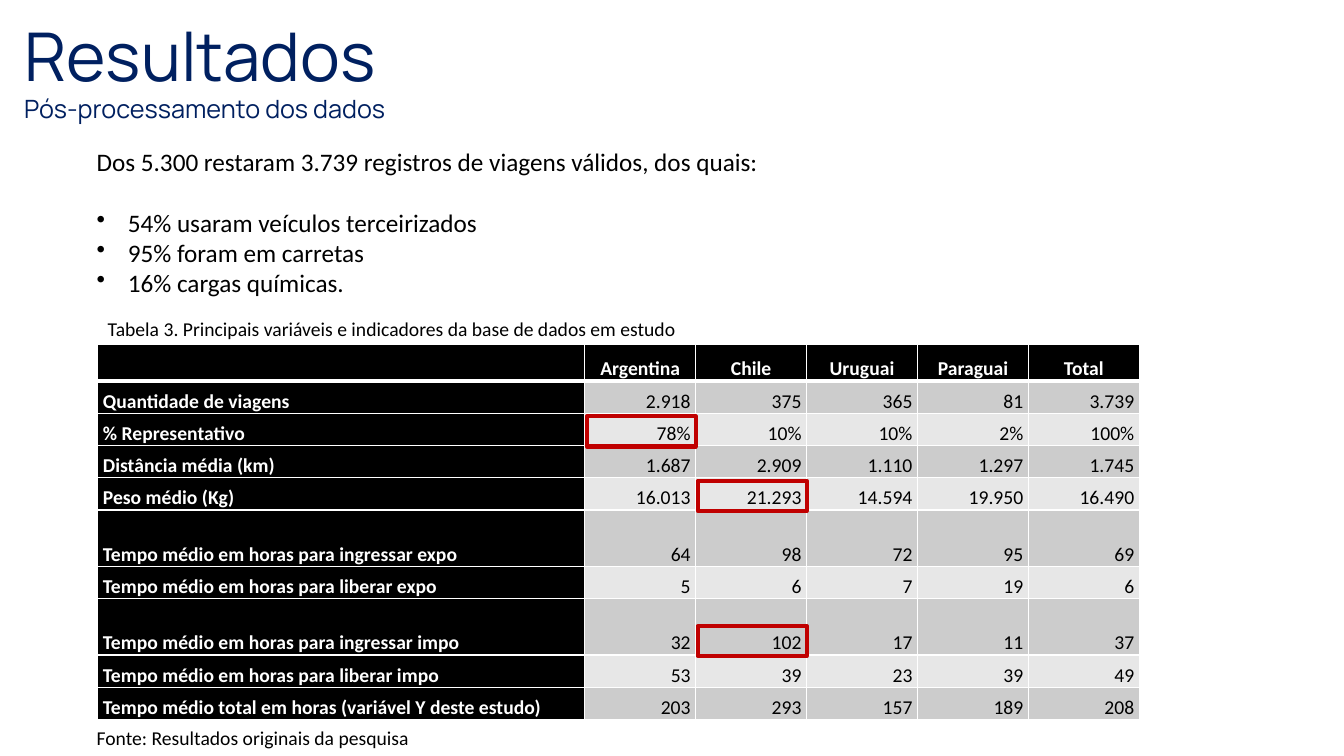
import itertools
import pptx
import pptx.util
import pptx.dml.color
import pptx.enum.shapes
import pptx.enum.text
import pptx.oxml
import pptx.oxml.ns

Inches, Pt = pptx.util.Inches, pptx.util.Pt
RGBColor = pptx.dml.color.RGBColor
PP_ALIGN = pptx.enum.text.PP_ALIGN
MSO_ANCHOR = pptx.enum.text.MSO_ANCHOR

NAVY = RGBColor(0x00, 0x20, 0x60)
BLACK = RGBColor(0x00, 0x00, 0x00)
WHITE = RGBColor(0xFF, 0xFF, 0xFF)
BAND_DARK = RGBColor(0xCC, 0xCC, 0xCC)
BAND_LIGHT = RGBColor(0xE7, 0xE7, 0xE7)
RED = RGBColor(0xC0, 0x00, 0x00)

SLIDE_W, SLIDE_H = Inches(13.33), Inches(7.5)
COL_WEIGHTS = [4.39] + [1] * 5
ROW_WEIGHTS = [9, 8, 8, 8, 8, 14, 8, 14, 8, 8]
HIGHLIGHTS = [(2, 1), (4, 2), (7, 2)]

COUNTRIES = ["", "Argentina", "Chile", "Uruguai", "Paraguai", "Total"]
INDICATORS = [
    ["Quantidade de viagens", "2.918", "375", "365", "81", "3.739"],
    ["% Representativo", "78%", "10%", "10%", "2%", "100%"],
    ["Distância média (km)", "1.687", "2.909", "1.110", "1.297", "1.745"],
    ["Peso médio (Kg)", "16.013", "21.293", "14.594", "19.950", "16.490"],
    ["Tempo médio em horas para ingressar expo", "64", "98", "72", "95", "69"],
    ["Tempo médio em horas para liberar expo", "5", "6", "7", "19", "6"],
    ["Tempo médio em horas para ingressar impo", "32", "102", "17", "11", "37"],
    ["Tempo médio em horas para liberar impo", "53", "39", "23", "39", "49"],
    ["Tempo médio total em horas (variável Y deste estudo)", "203", "293", "157", "189", "208"],
]


def percent_box(left, top, width, height):
    return (int(SLIDE_W * left / 100), int(SLIDE_H * top / 100),
            int(SLIDE_W * width / 100), int(SLIDE_H * height / 100))


def write(p, text, size=14, font="Calibri", color=BLACK, bold=False,
          align=PP_ALIGN.LEFT, spacing=None, before=None, bullet=False):
    if bullet:
        pPr = p._p.get_or_add_pPr()
        pPr.set("marL", str(Inches(0.31)))
        pPr.set("indent", str(-Inches(0.31)))
        pPr.append(pptx.oxml.parse_xml(
            f'<a:buChar {pptx.oxml.ns.nsdecls("a")} char="•"/>'))
    p.alignment = align
    p.line_spacing = spacing
    p.space_before = before
    if text:
        r = p.add_run()
        r.text = text
        r.font.size, r.font.name, r.font.bold = Pt(size), font, bold
        r.font.color.rgb = color


def add_title(s, box):
    title = s.shapes.title
    title.left, title.top, title.width, title.height = box
    tf = title.text_frame
    tf.auto_size = pptx.enum.text.MSO_AUTO_SIZE.NONE
    tf.vertical_anchor = MSO_ANCHOR.MIDDLE
    write(tf.paragraphs[0], "Resultados", size=48, font="Manrope", color=NAVY,
          spacing=0.9, before=Pt(0))


def add_line(s, box, text, **style):
    tf = s.shapes.add_textbox(*box).text_frame
    tf.word_wrap = True
    write(tf.paragraphs[0], text, **style)
    return tf


def add_findings(s, box):
    tf = add_line(s, box, "Dos 5.300 restaram 3.739 registros de viagens válidos, dos quais:", size=18)
    findings = ["54% usaram veículos terceirizados", "95% foram em carretas", "16% cargas químicas."]
    for i, finding in enumerate(findings):
        write(tf.add_paragraph(), finding, size=18, bullet=True,
              before=Pt(0 if i else 22))


def set_borders(cell, **widths):
    tcPr = cell._tc.get_or_add_tcPr()
    for side in "LRTB":
        tcPr.append(pptx.oxml.parse_xml(
            f'<a:ln{side} {pptx.oxml.ns.nsdecls("a")} w="{Pt(widths.get(side, 1))}">'
            f'<a:solidFill><a:srgbClr val="{WHITE}"/></a:solidFill></a:ln{side}>'))


def format_cell(cell, text, row, col):
    heading = row == 0 or col == 0
    set_borders(cell, **{0: {"B": 3}, 1: {"T": 3}}.get(row, {}))
    cell.fill.solid()
    cell.fill.fore_color.rgb = BLACK if heading else BAND_DARK if row % 2 else BAND_LIGHT
    cell.margin_left = cell.margin_right = Inches(0.05)
    cell.margin_top = cell.margin_bottom = 0
    cell.vertical_anchor = MSO_ANCHOR.BOTTOM
    align = PP_ALIGN.CENTER if row == 0 else PP_ALIGN.RIGHT if col else PP_ALIGN.LEFT
    write(cell.text_frame.paragraphs[0], text, bold=heading,
          color=WHITE if heading else BLACK, align=align, spacing=1.15)


def add_indicators(s, box):
    left, top, width, height = box
    rows = [COUNTRIES] + INDICATORS
    table = s.shapes.add_table(len(rows), len(COUNTRIES), *box).table
    table.first_row = table.horz_banding = False
    widths = [int(width * w / sum(COL_WEIGHTS)) for w in COL_WEIGHTS]
    heights = [int(height * h / sum(ROW_WEIGHTS)) for h in ROW_WEIGHTS]
    for column, w in zip(table.columns, widths):
        column.width = w
    for row, h in zip(table.rows, heights):
        row.height = h
    for i, values in enumerate(rows):
        for j, text in enumerate(values):
            format_cell(table.cell(i, j), text, i, j)
    rights = list(itertools.accumulate(widths))
    bottoms = list(itertools.accumulate(heights))
    frame_w, frame_h = Inches(1.08), Inches(0.3)
    for i, j in HIGHLIGHTS:
        frame = s.shapes.add_shape(
            pptx.enum.shapes.MSO_SHAPE.RECTANGLE,
            left + rights[j] - frame_w, top + bottoms[i] - frame_h + Inches(0.01),
            frame_w, frame_h)
        frame.shadow.inherit = False
        frame.fill.background()
        frame.line.color.rgb = RED
        frame.line.width = Pt(3)


def main():
    prs = pptx.Presentation()
    prs.slide_width, prs.slide_height = SLIDE_W, SLIDE_H
    s = prs.slides.add_slide(prs.slide_layouts[5])
    add_title(s, percent_box(1.05, -0.13, 65.04, 16))
    add_findings(s, percent_box(6.45, 18.67, 91.15, 21.6))
    add_indicators(s, percent_box(7.28, 45.6, 77.5, 49.6))
    add_line(s, percent_box(1.05, 11.73, 50.64, 5.33), "Pós-processamento dos dados",
             size=18, font="Manrope", color=NAVY)
    add_line(s, percent_box(7.28, 41.2, 91.15, 4.53),
             "Tabela 3. Principais variáveis e indicadores da base de dados em estudo")
    add_line(s, percent_box(6.45, 95.33, 91.15, 4.53), "Fonte: Resultados originais da pesquisa")
    prs.save("out.pptx")


if __name__ == "__main__":
    main()
